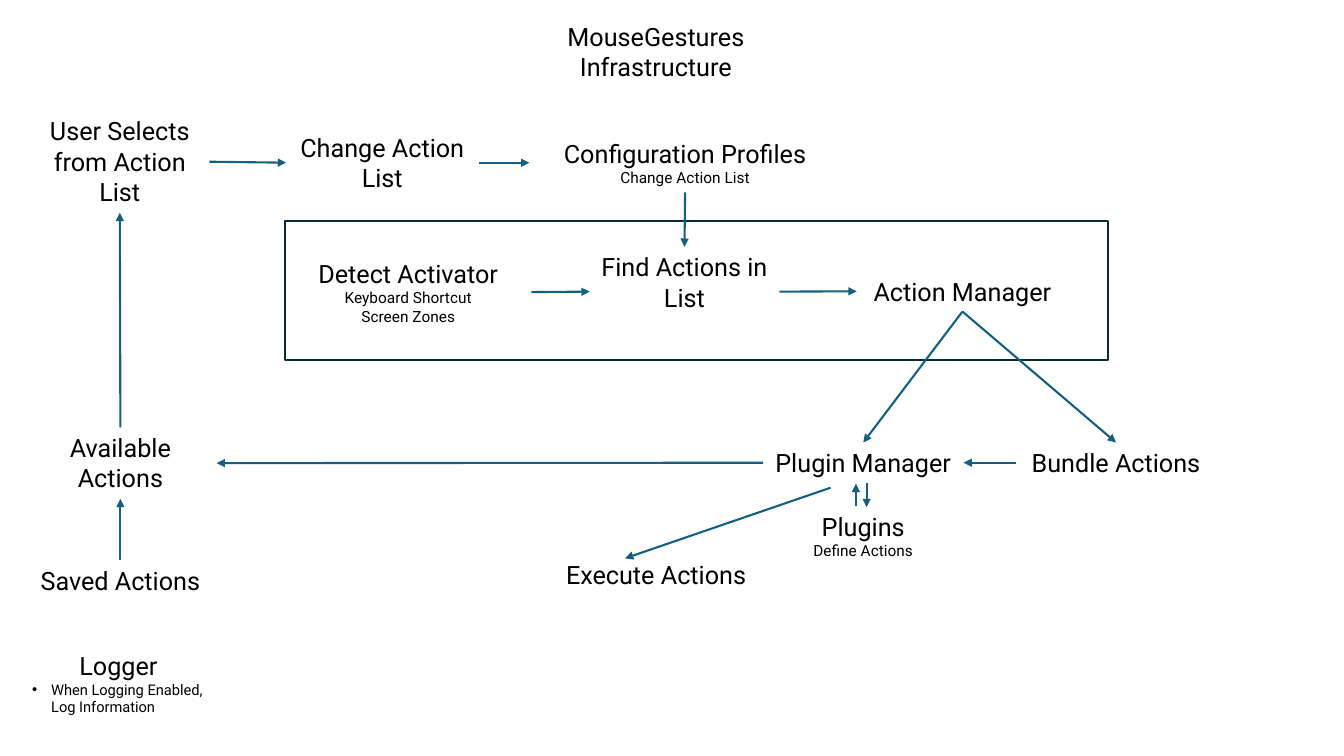
from lxml import etree
from pptx import Presentation
from pptx.dml.color import RGBColor
from pptx.enum.shapes import MSO_CONNECTOR, MSO_SHAPE
from pptx.enum.text import MSO_AUTO_SIZE, PP_ALIGN
from pptx.oxml.ns import qn
from pptx.util import Cm, Pt

STRAIGHT = MSO_CONNECTOR.STRAIGHT
RECTANGLE = MSO_SHAPE.RECTANGLE
GROW = MSO_AUTO_SIZE.SHAPE_TO_FIT_TEXT
CENTER, LEFT = PP_ALIGN.CENTER, PP_ALIGN.LEFT
TOP_SIDE, LEFT_SIDE, BOTTOM_SIDE, RIGHT_SIDE = range(4)

COLOURS = {"text": "000000", "arrow": "156082", "frame": "092A39"}
FONT = "Roboto"
LINE_WIDTH = 1.5
BULLET_INDENT = 0.48

FRAME = (7.19, 5.56, 20.73, 3.51)

# name: (left, top, width, height), heading, details
STEPS = {
    "title": ((12.34, 0.41, 8.38, 1.8), "MouseGestures Infrastructure", []),
    "user": ((0.76, 2.79, 4.52, 2.57), "User Selects from Action List", []),
    "change": ((7.21, 3.2, 4.85, 1.8), "Change Action List", []),
    "profiles": ((13.34, 3.35, 7.85, 1.5), "Configuration Profiles", ["Change Action List"]),
    "detect": ((7.19, 6.38, 6.2, 1.96), "Detect Activator", ["Keyboard Shortcut", "Screen Zones"]),
    "find": ((14.86, 6.22, 4.78, 2.26), "Find Actions in List", []),
    "actions": ((21.59, 6.83, 5.33, 1.02), "Action Manager", []),
    "available": ((0.61, 10.77, 4.85, 1.8), "Available Actions", []),
    "manager": ((19.23, 11.15, 5.05, 1.02), "Plugin Manager", []),
    "bundle": ((25.6, 11.15, 5.05, 1.02), "Bundle Actions", []),
    "plugins": ((19.23, 12.75, 5.05, 1.5), "Plugins", ["Define Actions"]),
    "execute": ((13.87, 13.97, 5.33, 1.02), "Execute Actions", []),
    "saved": ((0.61, 14.12, 4.85, 1.02), "Saved Actions", []),
}
LOGGER = ((0.56, 16.26, 4.85, 1.93), "Logger", "When Logging Enabled, Log Information")

FLOWS = [
    ("user", RIGHT_SIDE, "change", LEFT_SIDE),
    ("change", RIGHT_SIDE, "profiles", LEFT_SIDE),
    ("profiles", BOTTOM_SIDE, "find", TOP_SIDE),
    ("detect", RIGHT_SIDE, "find", LEFT_SIDE),
    ("find", RIGHT_SIDE, "actions", LEFT_SIDE),
    ("actions", BOTTOM_SIDE, "manager", TOP_SIDE),
    ("actions", BOTTOM_SIDE, "bundle", TOP_SIDE),
    ("bundle", LEFT_SIDE, "manager", RIGHT_SIDE),
    ("manager", LEFT_SIDE, "available", RIGHT_SIDE),
    ("saved", TOP_SIDE, "available", BOTTOM_SIDE),
    ("available", TOP_SIDE, "user", BOTTOM_SIDE),
]
FREE_ARROWS = [
    (21.57, 12.75, 21.57, 12.19),
    (21.84, 12.17, 21.84, 12.78),
    (20.93, 12.29, 15.75, 14.07),
]


def colour(name):
    return RGBColor.from_string(COLOURS[name])


def write(paragraph, text, size=18, align=CENTER, bullet=False):
    if bullet:
        properties = paragraph._p.get_or_add_pPr()
        properties.set("marL", str(Cm(BULLET_INDENT)))
        properties.set("indent", str(-Cm(BULLET_INDENT)))
        etree.SubElement(properties, qn("a:buFont"), typeface="Arial")
        etree.SubElement(properties, qn("a:buChar"), char="•")
    paragraph.alignment = align
    run = paragraph.add_run()
    run.text = text
    run.font.name = FONT
    run.font.size = Pt(size)
    run.font.color.rgb = colour("text")


def add_step(slide, box, heading, details, **detail_format):
    shape = slide.shapes.add_textbox(*map(Cm, box))
    frame = shape.text_frame
    frame.word_wrap = True
    frame.auto_size = GROW
    write(frame.paragraphs[0], heading)
    for detail in details:
        write(frame.add_paragraph(), detail, **detail_format)
    return shape


def add_arrow(slide, points=(0, 0, 0, 0)):
    connector = slide.shapes.add_connector(STRAIGHT, *map(Cm, points))
    connector.line.color.rgb = colour("arrow")
    connector.line.width = Pt(LINE_WIDTH)
    etree.SubElement(connector.line._get_or_add_ln(), qn("a:tailEnd"), type="triangle")
    etree.SubElement(connector._element.spPr, qn("a:effectLst"))
    return connector


def add_frame(slide):
    shape = slide.shapes.add_shape(RECTANGLE, *map(Cm, FRAME))
    shape.shadow.inherit = False
    shape.fill.background()
    shape.line.color.rgb = colour("frame")
    shape.line.width = Pt(LINE_WIDTH)


def main():
    """Build the infrastructure flow slide."""
    presentation = Presentation()
    presentation.slide_width, presentation.slide_height = Cm(33.87), Cm(19.05)
    slide = presentation.slides.add_slide(presentation.slide_layouts[6])
    add_frame(slide)
    steps = {name: add_step(slide, *step, size=11) for name, step in STEPS.items()}
    box, heading, note = LOGGER
    add_step(slide, box, heading, [note], size=10.5, align=LEFT, bullet=True)
    for source, source_side, target, target_side in FLOWS:
        connector = add_arrow(slide)
        connector.begin_connect(steps[source], source_side)
        connector.end_connect(steps[target], target_side)
    for points in FREE_ARROWS:
        add_arrow(slide, points)
    presentation.save("out.pptx")


if __name__ == "__main__":
    main()
